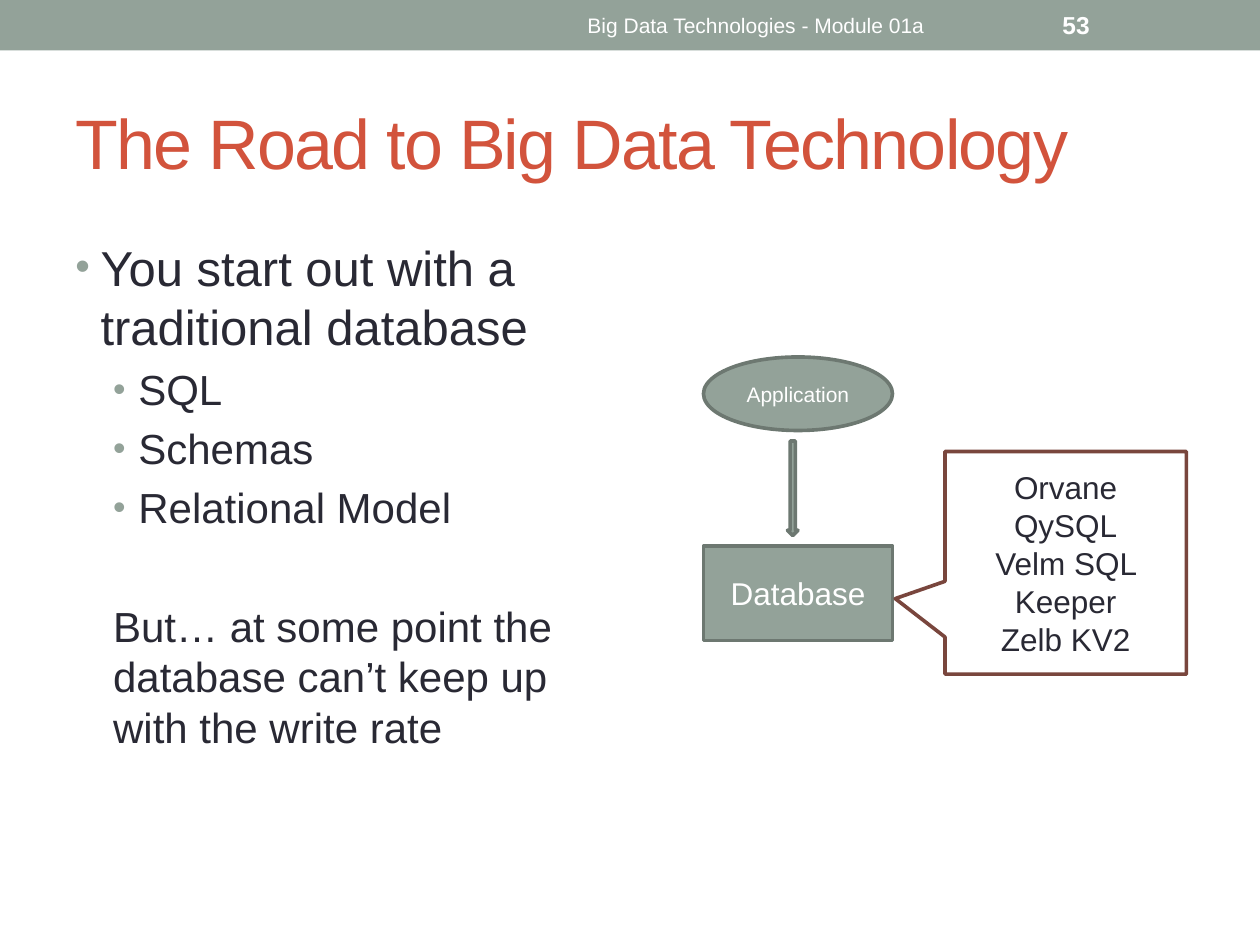
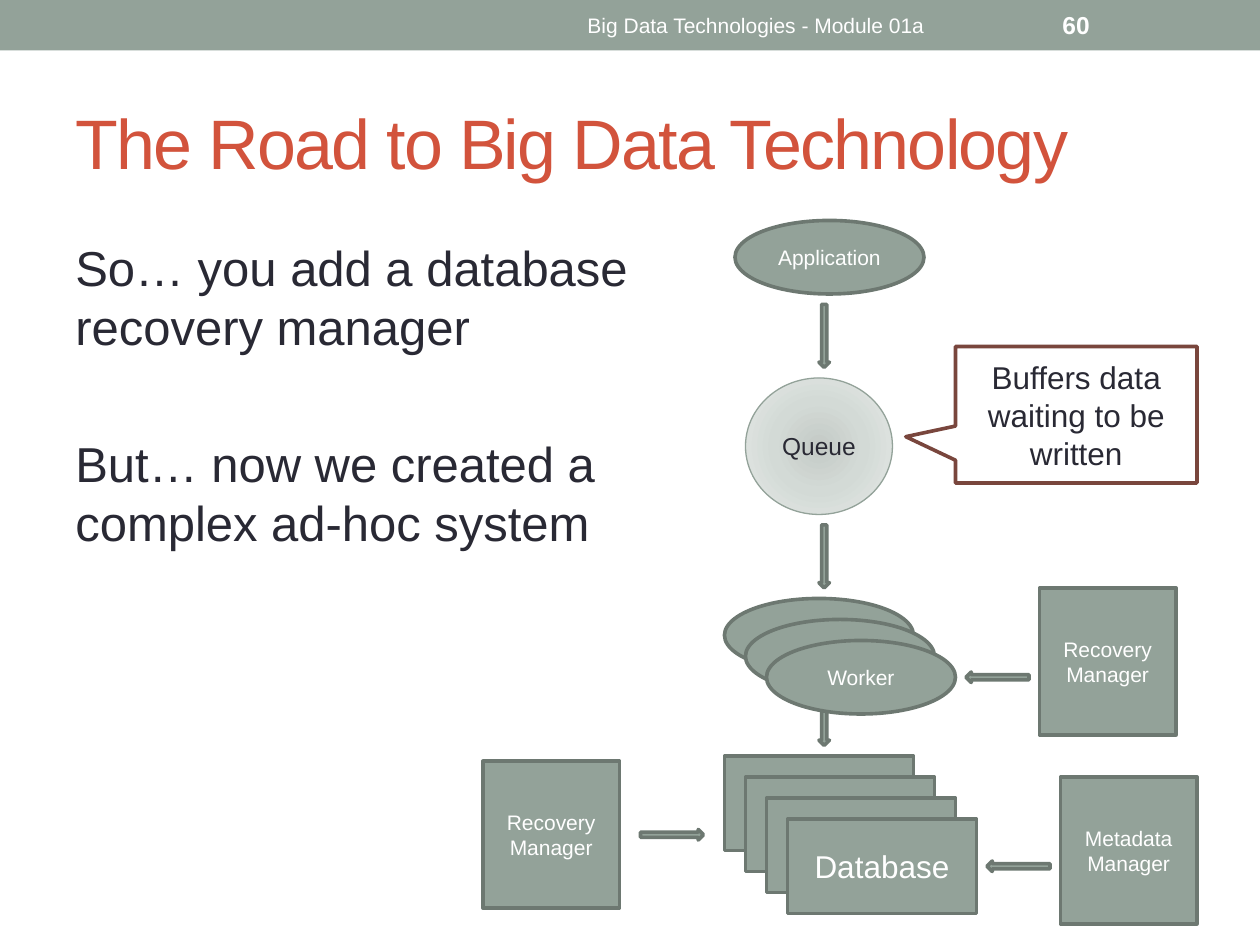
"""Build two slides on the road from one database to a big data system."""
import pptx
import pptx.dml.color
import pptx.enum.shapes
import pptx.enum.text
import pptx.oxml
import pptx.oxml.ns
import pptx.util

RGBColor = pptx.dml.color.RGBColor
Shape = pptx.enum.shapes.MSO_SHAPE
Align = pptx.enum.text.PP_ALIGN
Anchor = pptx.enum.text.MSO_ANCHOR

SAGE = RGBColor(0x93, 0xA2, 0x99)
DARK_SAGE = RGBColor(0x6D, 0x78, 0x71)
RUST = RGBColor(0xD2, 0x53, 0x3C)
BROWN = RGBColor(0x79, 0x46, 0x3D)
INK = RGBColor(0x29, 0x29, 0x34)
WHITE = RGBColor(0xFF, 0xFF, 0xFF)
QUEUE_STOPS = [
    (0, RGBColor(0xC4, 0xCA, 0xC6)),
    (45, RGBColor(0xD3, 0xDA, 0xD6)),
    (100, RGBColor(0xE7, 0xEA, 0xE8)),
]

FONT = "Arial"
TITLE = "The Road to Big Data Technology"
FOOTER = "Big Data Technologies - Module 01a"
CELLS_PER_INCH = 12
STACK_STEP = 2

# preset, (columns, rows), fill, line, line width, text size, text colour
STYLES = {
    "process": (Shape.OVAL, (18, 7), SAGE, DARK_SAGE, 2.08, 12, WHITE),
    "database": (Shape.RECTANGLE, (18, 9), SAGE, DARK_SAGE, 2.08, 18, WHITE),
    "manager": (Shape.RECTANGLE, (13, 14), SAGE, DARK_SAGE, 2.08, 12, WHITE),
    "queue": (Shape.OVAL, (14, 13), QUEUE_STOPS, SAGE, 0.75, 14, INK),
    "callout": (Shape.RECTANGULAR_CALLOUT, (23, 13), WHITE, BROWN, 2.08, 18, INK),
    "arrow": (Shape.DOWN_ARROW, (1, 6), SAGE, DARK_SAGE, 2.08, 12, WHITE),
}

# paragraphs: text, size, left margin, has bullet, space before
# nodes: style, column, row, text, then options
SLIDES = [
    {
        "number": "53",
        "body_width": 53,
        "paragraphs": [
            ("You start out with a traditional database", 28, 0.2, True, 0),
            ("SQL", 24, 0.5, True, 5),
            ("Schemas", 24, 0.5, True, 5),
            ("Relational Model", 24, 0.5, True, 5),
            ("But… at some point the database can’t keep up with the write rate",
             24, 0.3, False, 39),
        ],
        "nodes": [
            ("process", 67, 34, "Application", {}),
            ("database", 67, 52, "Database", {}),
            ("arrow", 75, 42, "", {"rows": 9}),
            ("callout", 90, 43, "Orvane\nQySQL\nVelm SQL Keeper\nZelb KV2", {"rows": 21.2}),
        ],
    },
    {
        "number": "60",
        "body_width": 64,
        "paragraphs": [
            ("So… you add a database recovery manager", 28, 0, False, 0),
            ("But… now we created a complex ad-hoc system", 28, 0, False, 45),
        ],
        "nodes": [
            ("process", 70, 21, "Application", {}),
            ("arrow", 78, 29, "", {}),
            ("queue", 71, 36, "Queue", {}),
            ("arrow", 78, 50, "", {}),
            ("callout", 91, 33, "Buffers data waiting to be written", {}),
            ("arrow", 78, 65, "", {}),
            ("process", 69, 57, "Worker", {"copies": 3}),
            ("database", 69, 72, "Database", {"copies": 4}),
            ("manager", 99, 56, "Recovery\nManager", {}),
            ("arrow", 94.5, 61.5, "", {"rotation": 90}),
            ("manager", 101, 74, "Metadata Manager", {}),
            ("arrow", 96.5, 79.5, "", {"rotation": 90}),
            ("manager", 46, 72.5, "Recovery\nManager", {}),
            ("arrow", 63.5, 76.5, "", {"rotation": 270}),
        ],
    },
]


def grid(*cells):
    return [pptx.util.Inches(cell / CELLS_PER_INCH) for cell in cells]


def format_paragraph(paragraph, size, color, align=Align.LEFT, bold=False):
    paragraph.alignment = align
    for run in paragraph.runs:
        run.font.name = FONT
        run.font.size = pptx.util.Pt(size)
        run.font.bold = bold
        run.font.color.rgb = color


def fill_text(shape, text, size, color, align=Align.CENTER, bold=False):
    frame = shape.text_frame
    frame.word_wrap = True
    frame.vertical_anchor = Anchor.MIDDLE
    frame.text = text
    for paragraph in frame.paragraphs:
        format_paragraph(paragraph, size, color, align, bold)


def add_radial_fill(shape, stops):
    stop_xml = "".join(
        f'<a:gs pos="{share * 1000}"><a:srgbClr val="{color}"/></a:gs>'
        for share, color in stops
    )
    gradient = pptx.oxml.parse_xml(
        f'<a:gradFill {pptx.oxml.ns.nsdecls("a")} rotWithShape="1">'
        f'<a:gsLst>{stop_xml}</a:gsLst><a:path path="circle">'
        '<a:fillToRect l="50000" t="50000" r="50000" b="50000"/></a:path></a:gradFill>'
    )
    properties = shape.fill._xPr
    properties.find(pptx.oxml.ns.qn("a:prstGeom")).addnext(gradient)


def add_node(slide, style, column, row, text, rows=None, rotation=0):
    preset, (columns, default_rows), fill, line, width, size, color = STYLES[style]
    shape = slide.shapes.add_shape(
        preset, *grid(column, row, columns, rows or default_rows))
    shape.shadow.inherit = False
    shape.rotation = rotation
    if style == "queue":
        add_radial_fill(shape, fill)
    else:
        shape.fill.solid()
        shape.fill.fore_color.rgb = fill
    shape.line.color.rgb = line
    shape.line.width = pptx.util.Pt(width)
    if style == "callout":
        shape.adjustments[0] = -0.706
        shape.adjustments[1] = 0.161
    if text:
        fill_text(shape, text, size, color)


def add_frame(slide, number):
    band = slide.shapes.add_shape(Shape.RECTANGLE, *grid(0, 0, 120, 4.8))
    band.shadow.inherit = False
    band.fill.solid()
    band.fill.fore_color.rgb = SAGE
    band.line.fill.background()

    title = slide.shapes.title
    title.left, title.top, title.width, title.height = grid(6, 7, 108, 13)
    fill_text(title, TITLE, 40, RUST, Align.LEFT)
    title.text_frame.paragraphs[0].runs[0].font._element.set("spc", "-100")

    footer = slide.shapes.add_textbox(*grid(45, 0.25, 54, 4.3))
    fill_text(footer, FOOTER, 12, WHITE)
    page = slide.shapes.add_textbox(*grid(100, 0.25, 14, 4.3))
    fill_text(page, number, 14, WHITE, Align.LEFT, True)


def set_indent(paragraph, margin, has_bullet):
    properties = paragraph._p.get_or_add_pPr()
    properties.set("marL", str(pptx.util.Inches(margin)))
    properties.set("indent", str(pptx.util.Inches(-0.2 if has_bullet else 0)))
    if has_bullet:
        namespace = pptx.oxml.ns.nsdecls("a")
        for xml in (
            f'<a:buClr {namespace}><a:srgbClr val="{SAGE}"/></a:buClr>',
            f'<a:buSzPct {namespace} val="85000"/>',
            f'<a:buFont {namespace} typeface="{FONT}"/>',
            f'<a:buChar {namespace} char="•"/>',
        ):
            properties.append(pptx.oxml.parse_xml(xml))


def add_body(slide, width, paragraphs):
    frame = slide.shapes.add_textbox(*grid(6, 22, width, 62)).text_frame
    frame.word_wrap = True
    frame.text = "\n".join(item[0] for item in paragraphs)
    for paragraph, item in zip(frame.paragraphs, paragraphs):
        _, size, margin, has_bullet, space = item
        set_indent(paragraph, margin, has_bullet)
        paragraph.space_before = pptx.util.Pt(space)
        format_paragraph(paragraph, size, INK)


def main():
    presentation = pptx.Presentation()
    presentation.slide_width, presentation.slide_height = grid(120, 90)
    for content in SLIDES:
        slide = presentation.slides.add_slide(presentation.slide_layouts[5])
        add_frame(slide, content["number"])
        add_body(slide, content["body_width"], content["paragraphs"])
        for style, column, row, text, options in content["nodes"]:
            copies = options.get("copies", 1)
            for step in range(0, copies * STACK_STEP, STACK_STEP):
                add_node(slide, style, column + step, row + step, text,
                         options.get("rows"), options.get("rotation", 0))
    presentation.save("out.pptx")


if __name__ == "__main__":
    main()
